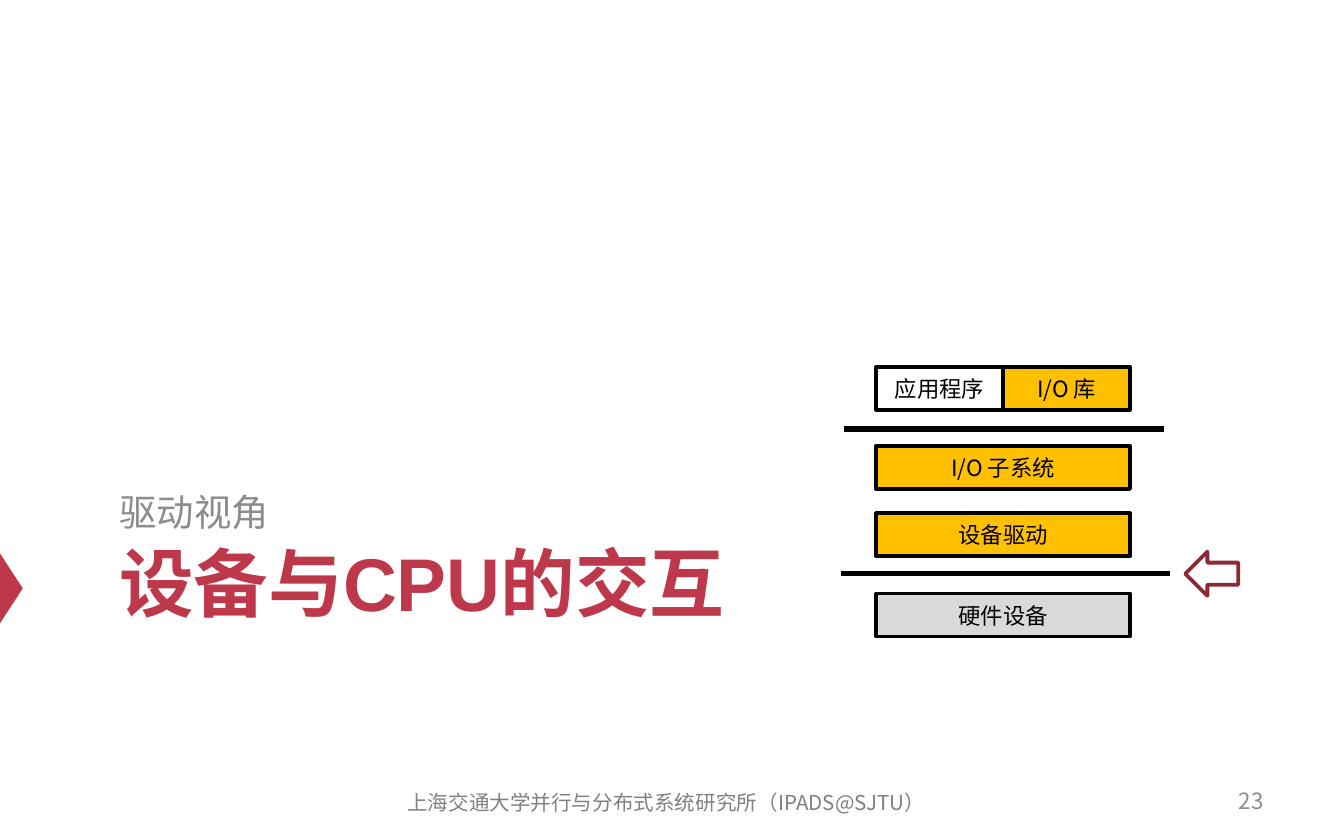
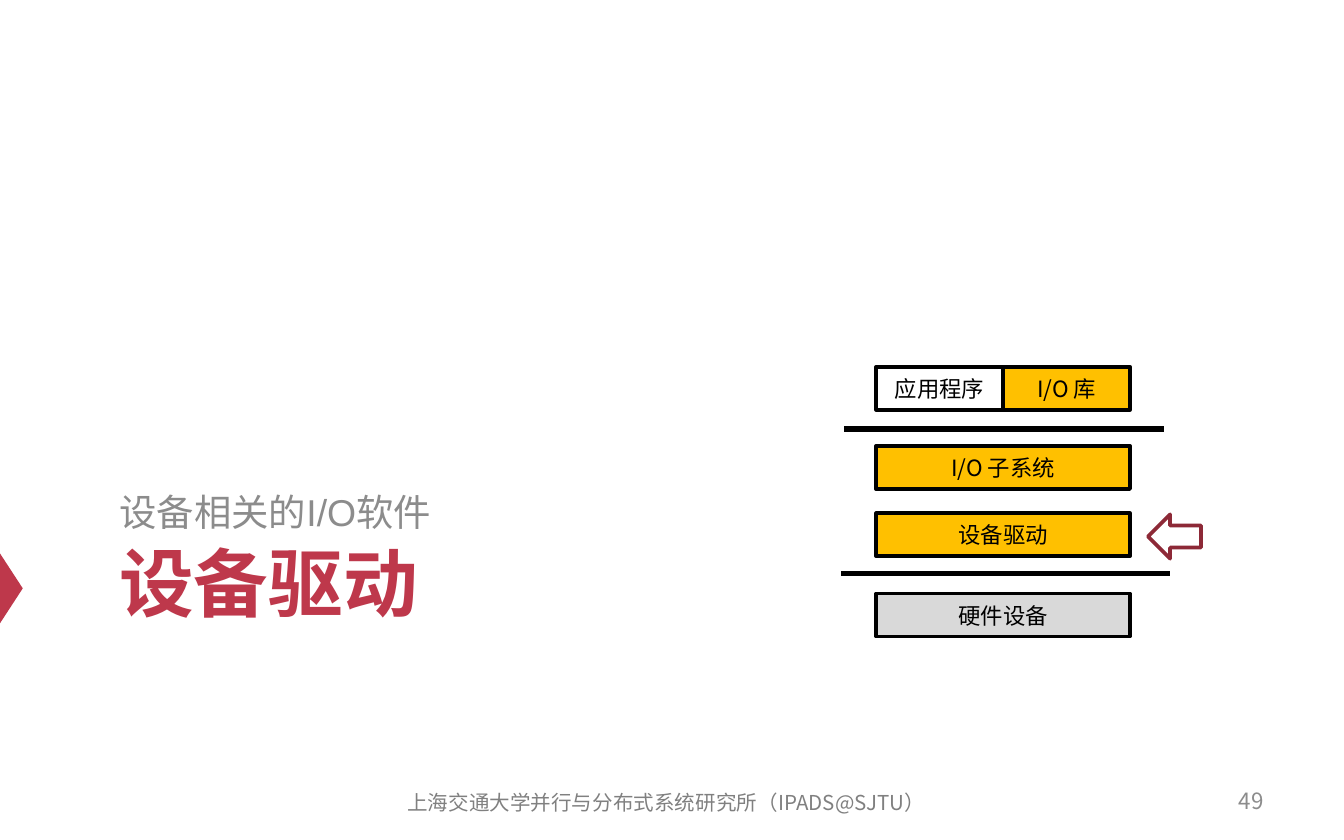
import pptx
import pptx.dml.color
import pptx.enum.shapes
import pptx.enum.text
import pptx.oxml
import pptx.oxml.ns
import pptx.util

Pt = pptx.util.Pt
RGBColor = pptx.dml.color.RGBColor
Shape = pptx.enum.shapes.MSO_SHAPE
Align = pptx.enum.text.PP_ALIGN
Anchor = pptx.enum.text.MSO_ANCHOR

RED = RGBColor(0xBE, 0x38, 0x4B)
DARK_RED = RGBColor(0x8D, 0x29, 0x37)
GREY = RGBColor(0x8C, 0x8C, 0x8C)
FOOTER_GREY = RGBColor(0x80, 0x80, 0x80)
LIGHT_GREY = RGBColor(0xD9, 0xD9, 0xD9)
AMBER = RGBColor(0xFF, 0xC0, 0x00)
BLACK = RGBColor(0x00, 0x00, 0x00)

HEADING_FONT = "Arial"
BODY_FONT = "Noto Sans CJK SC"
FOOTER = "上海交通大学并行与分布式系统研究所（IPADS@SJTU）"

STACK_LEFT, STACK_WIDTH, LAYER_HEIGHT = 469.4, 136, 23
# Each layer: top and its cells, which share the stack width equally.
LAYERS = [
    (196.5, [("应用程序", None), ("I/O 库", AMBER)]),
    (239, [("I/O 子系统", AMBER)]),
    (275, [("设备驱动", AMBER)]),
    (318, [("硬件设备", LIGHT_GREY)]),
]
# Each boundary: left, right and height on the slide.
BOUNDARIES = [(452.3, 623.5, 229.8), (450.7, 626.7, 307.3)]

# Each section: title, subtitle, page number, left and top of the arrow.
SECTIONS = [
    ("设备与CPU的交互", "驱动视角", 23, 635, 295.5),
    ("设备驱动", "设备相关的I/O软件", 49, 615, 275.6),
]


class SectionDeck:
    def __init__(self):
        self.deck = pptx.Presentation()
        self.deck.slide_width = Pt(720)
        self.deck.slide_height = Pt(450)
        self.slide = None

    def new_slide(self):
        self.slide = self.deck.slides.add_slide(self.deck.slide_layouts[6])

    def fill_text(self, frame, text, size, color, font=BODY_FONT, bold=False,
                  align=Align.LEFT, anchor=Anchor.MIDDLE):
        frame.text = text
        frame.word_wrap = True
        frame.vertical_anchor = anchor
        para = frame.paragraphs[0]
        para.alignment = align
        for span in para.runs:
            span.font.size = Pt(size)
            span.font.bold = bold
            span.font.name = font
            span.font.color.rgb = color
            latin = span.font._element.find(pptx.oxml.ns.qn("a:latin"))
            latin.addnext(latin.makeelement(pptx.oxml.ns.qn("a:ea"),
                                            {"typeface": BODY_FONT}))
        return para

    def text(self, left, top, width, height, text, size, color, **style):
        box = self.slide.shapes.add_textbox(Pt(left), Pt(top), Pt(width), Pt(height))
        return self.fill_text(box.text_frame, text, size, color, **style)

    def shape(self, kind, left, top, width, height, fill=None, line=None, parent=None):
        shapes = (parent or self.slide).shapes
        shape = shapes.add_shape(kind, Pt(left), Pt(top), Pt(width), Pt(height))
        shape.shadow.inherit = False
        if fill is None:
            shape.fill.background()
        else:
            shape.fill.solid()
            shape.fill.fore_color.rgb = fill
        if line is None:
            shape.line.fill.background()
        else:
            shape.line.color.rgb = line
            shape.line.width = Pt(2)
        return shape

    def line(self, left, right, height, parent):
        line = parent.shapes.add_connector(
            pptx.enum.shapes.MSO_CONNECTOR.STRAIGHT,
            Pt(left), Pt(height), Pt(right), Pt(height))
        line.line.color.rgb = BLACK
        line.line.width = Pt(3)
        properties = line._element.spPr
        properties.append(properties.makeelement(pptx.oxml.ns.qn("a:effectLst")))

    def heading(self, title, subtitle):
        marker = self.shape(Shape.ISOSCELES_TRIANGLE, -13, 309, 38, 12.4, fill=RED)
        marker.rotation = 90
        para = self.text(56.9, 289.4, 612, 89.3, title, 40, RED,
                         font=HEADING_FONT, bold=True, anchor=Anchor.TOP)
        para.line_spacing = 0.9
        para = self.text(56.9, 190.8, 612, 98.6, subtitle, 20, GREY,
                         font=HEADING_FONT, anchor=Anchor.BOTTOM)
        para.line_spacing = 1.2

    def footer(self, number):
        self.text(516, 417, 168, 24, str(number), 12, GREY, align=Align.RIGHT)
        self.text(201, 417.6, 312, 24, FOOTER, 11, FOOTER_GREY, align=Align.CENTER)

    def stack(self):
        """Draw the layers from application to hardware, with their boundaries."""
        group = self.slide.shapes.add_group_shape()
        for top, cells in LAYERS:
            width = STACK_WIDTH / len(cells)
            for column, (label, fill) in enumerate(cells):
                box = self.shape(Shape.RECTANGLE, STACK_LEFT + column * width, top,
                                 width, LAYER_HEIGHT, fill, BLACK, group)
                self.fill_text(box.text_frame, label, 12, BLACK, align=Align.CENTER)
        for left, right, height in BOUNDARIES:
            self.line(left, right, height, group)

    def arrow(self, left, top):
        self.shape(Shape.LEFT_ARROW, left, top, 28.4, 23.7, line=DARK_RED)


def main():
    sections = SectionDeck()
    for title, subtitle, number, arrow_left, arrow_top in SECTIONS:
        sections.new_slide()
        sections.heading(title, subtitle)
        sections.footer(number)
        sections.stack()
        sections.arrow(arrow_left, arrow_top)
    sections.deck.save("out.pptx")


if __name__ == "__main__":
    main()
